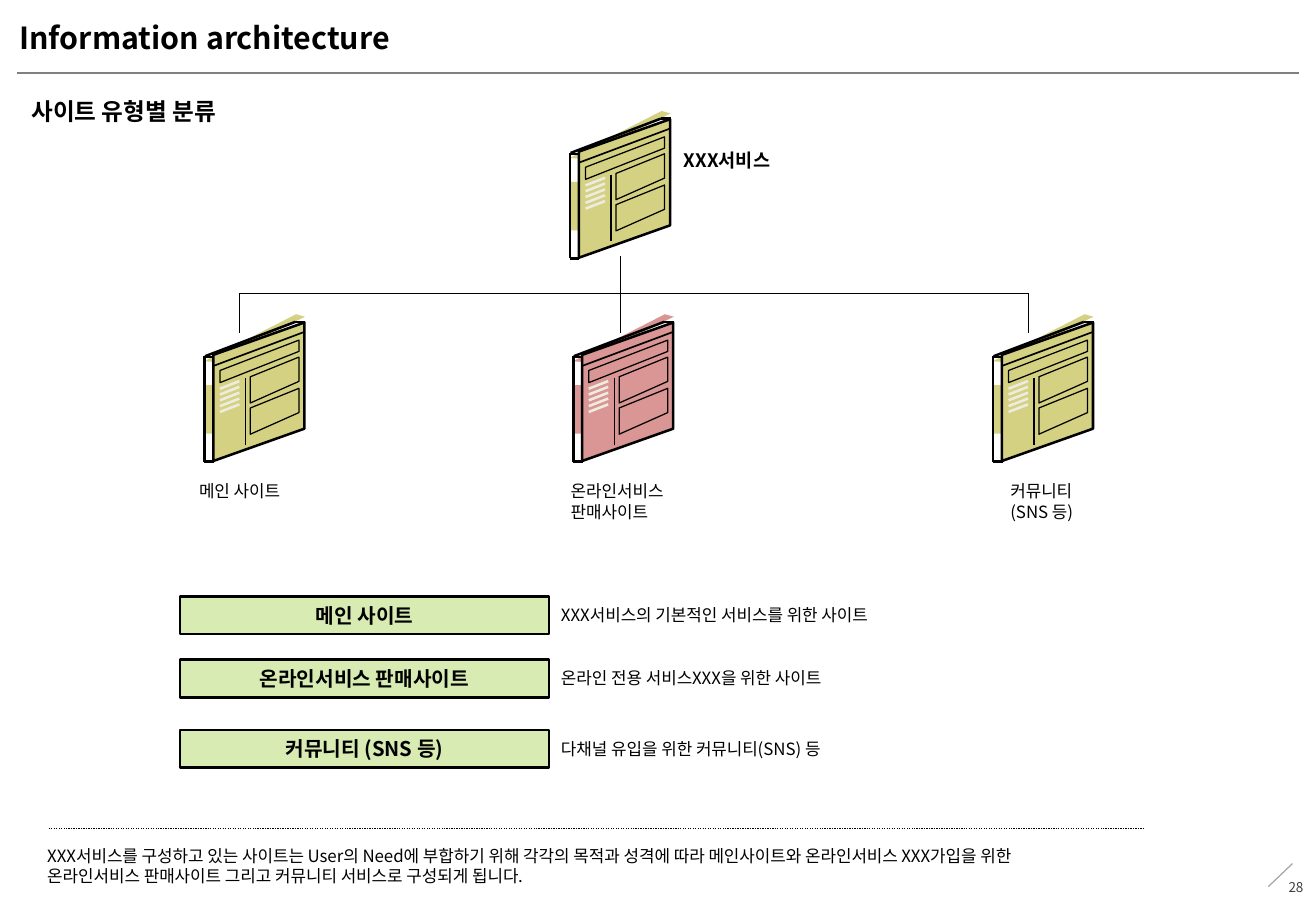
from lxml import etree
from pptx import Presentation
from pptx import util as u
from pptx.dml.color import RGBColor
from pptx.enum import dml, shapes, text
from pptx.oxml.ns import qn

FONT = "Noto Sans CJK KR"
BLACK, GRAY, PALE = "000000", "808080", "EEECE1"
OLIVE, ROSE, GREEN = "D4D282", "D99694", "D8EBB3"

TITLE = "Information architecture"
HEADING = "사이트 유형별 분류"
ROOT_LABEL = "XXX서비스"
SUMMARY = (
    "XXX서비스를 구성하고 있는 사이트는 User의 Need에 부합하기 위해 각각의 목적과 성격에 따라 "
    "메인사이트와 온라인서비스 XXX가입을 위한\v"
    "온라인서비스 판매사이트 그리고 커뮤니티 서비스로 구성되게 됩니다."
)
SITES = [
    ("메인 사이트", "XXX서비스의 기본적인 서비스를 위한 사이트", 353.5),
    ("온라인서비스 판매사이트", "온라인 전용 서비스XXX을 위한 사이트", 391),
    ("커뮤니티 (SNS 등)", "다채널 유입을 위한 커뮤니티(SNS) 등", 432.7),
]
ICONS = [
    (121, 185.8, OLIVE),
    (339.6, 185.8, ROSE),
    (588.4, 185.8, OLIVE),
    (337.7, 65.3, OLIVE),
]
CAPTIONS = [
    ("메인 사이트", 110.9, 64.8),
    ("온라인서비스\n판매사이트", 331.2, 71.3),
    ("커뮤니티\n(SNS 등)", 591.8, 52.6),
]
BRANCHES = [141.8, 367.9, 609.8]
BRANCH_TOP, BRANCH_BOTTOM, TRUNK_TOP = 174.2, 197.3, 151.9

BACK_PAGE = [(59.8, 2), (5.8, 28.8), (0, 28.4), (54.5, 0.5)]
BANNER = [(9.4, 33.8), (9.4, 41), (56.2, 22.5), (56.2, 15.8)]
PANEL = [(56.2, 25.9), (56.2, 40.3), (27.4, 53.1), (27.4, 37.6)]
PANEL_STEP = 18.5
EDGES = [
    (59.8, 10.8, 5.8, 31, 1),
    (5.8, 87.8, 0, 87.8, 1.5),
    (5.8, 25.9, 0, 25.9, 1.5),
    (0.2, 87.8, 0.2, 25.4, 1.5),
    (59.8, 5, 54, 5, 1.5),
    (54, 5, 0.5, 25.4, 1.5),
]
TEXT_ROWS, ROW_STEP = 5, 3.45

prs = Presentation()
prs.slide_width, prs.slide_height = u.Pt(780), u.Pt(540)
s = prs.slides.add_slide(prs.slide_layouts[6])


def rgb(color):
    return RGBColor.from_string(color)


def line(parent, x1, y1, x2, y2, width, color=BLACK):
    c = parent.shapes.add_connector(
        shapes.MSO_CONNECTOR.STRAIGHT, u.Pt(x1), u.Pt(y1), u.Pt(x2), u.Pt(y2))
    c.line.width = u.Pt(width)
    c.line.color.rgb = rgb(color)
    etree.SubElement(c._element.spPr, qn("a:effectLst"))
    return c


def paint(sp, fill, width=0):
    sp.shadow.inherit = False
    sp.fill.solid()
    sp.fill.fore_color.rgb = rgb(fill)
    if width:
        sp.line.color.rgb = rgb(BLACK)
        sp.line.width = u.Pt(width)
    else:
        sp.line.fill.background()
    return sp


def preset(parent, kind, x, y, w, h, fill, width=0):
    sp = parent.shapes.add_shape(kind, u.Pt(x), u.Pt(y), u.Pt(w), u.Pt(h))
    return paint(sp, fill, width)


def outline(parent, x, y, points, fill, width=0):
    pts = [(u.Pt(x + dx), u.Pt(y + dy)) for dx, dy in points]
    fb = parent.shapes.build_freeform(*pts[0])
    fb.add_line_segments(pts[1:], close=True)
    return paint(fb.convert_to_shape(), fill, width)


def write(sp, content, size, bold=False, color=BLACK,
          align=text.PP_ALIGN.LEFT, anchor=text.MSO_ANCHOR.TOP):
    tf = sp.text_frame
    tf.word_wrap = True
    tf.vertical_anchor = anchor
    tf.text = content
    for p in tf.paragraphs:
        p.alignment = align
        for r in p.runs:
            r.font.name, r.font.size, r.font.bold = FONT, u.Pt(size), bold
            r.font.color.rgb = rgb(color)
            etree.SubElement(r.font._element, qn("a:ea"), typeface=FONT)
    return tf


def label(x, y, w, h, content, size, **style):
    sp = s.shapes.add_textbox(u.Pt(x), u.Pt(y), u.Pt(w), u.Pt(h))
    return write(sp, content, size, **style)


def site_icon(x, y, fill):
    g = s.shapes.add_group_shape()
    preset(g, shapes.MSO_SHAPE.RECTANGLE, x, y + 42.5, 5.8, 28.8, fill)
    outline(g, x, y, BACK_PAGE, fill)
    front = preset(g, shapes.MSO_SHAPE.PARALLELOGRAM,
                   x - 8.6, y + 19.4, 82.1, 54, fill, 1.5)
    front.adjustments[0] = 0.355
    front.rotation = 90
    front._element.spPr.xfrm.set("flipH", "1")
    for x1, y1, x2, y2, width in EDGES:
        line(g, x + x1, y + y1, x + x2, y + y2, width)
    outline(g, x, y, BANNER, fill, 0.75)
    line(g, x + 24.5, y + 38.2, x + 24.5, y + 77.8, 0.75)
    for i in range(TEXT_ROWS):
        top = y + i * ROW_STEP
        line(g, x + 9.4, top + 44.6, x + 20.9, top + 40.1, 1.5, PALE)
    for i in range(2):
        outline(g, x, y + i * PANEL_STEP, PANEL, fill, 0.75)


MIDDLE = text.MSO_ANCHOR.MIDDLE

line(s, 10.1, 43.2, 769.7, 43.2, 0.75, GRAY)
line(s, 766.1, 511.9, 751.7, 525.6, 0.75, "A6A6A6")
label(735.8, 511.2, 43.9, 28.8, "28", 8, color="404040",
      align=text.PP_ALIGN.RIGHT, anchor=MIDDLE)

tf = label(11.5, 7.2, 582.5, 30.2, TITLE, 18, bold=True)
tf.margin_left = tf.margin_right = 0
tf.margin_top = tf.margin_bottom = u.Pt(4.3)
label(11.5, 54, 758.9, 24.5, HEADING, 14, bold=True)

rule = line(s, 28.8, 491, 677.5, 491, 0.75)
rule.line.dash_style = dml.MSO_LINE.ROUND_DOT
label(20.9, 497.5, 671, 31.7, SUMMARY, 10)

for name, purpose, y in SITES:
    box = preset(s, shapes.MSO_SHAPE.RECTANGLE, 106.6, y, 218.9, 22.3, GREEN, 1.5)
    write(box, name, 12, bold=True, align=text.PP_ALIGN.CENTER, anchor=MIDDLE)
    label(325.4, y + 1.4, 330.5, 19.4, purpose, 10)

for icon in ICONS:
    site_icon(*icon)

label(398.2, 83.5, 158.4, 22.3, ROOT_LABEL, 11, bold=True, anchor=MIDDLE)

line(s, BRANCHES[0], BRANCH_TOP, BRANCHES[-1], BRANCH_TOP, 0.5)
for x in BRANCHES:
    line(s, x, BRANCH_BOTTOM, x, BRANCH_TOP, 0.5)
line(s, BRANCHES[1], BRANCH_TOP, BRANCHES[1], TRUNK_TOP, 0.5)

for name, x, w in CAPTIONS:
    label(x, 281.5, w, 31.7, name, 10)

prs.save("out.pptx")
